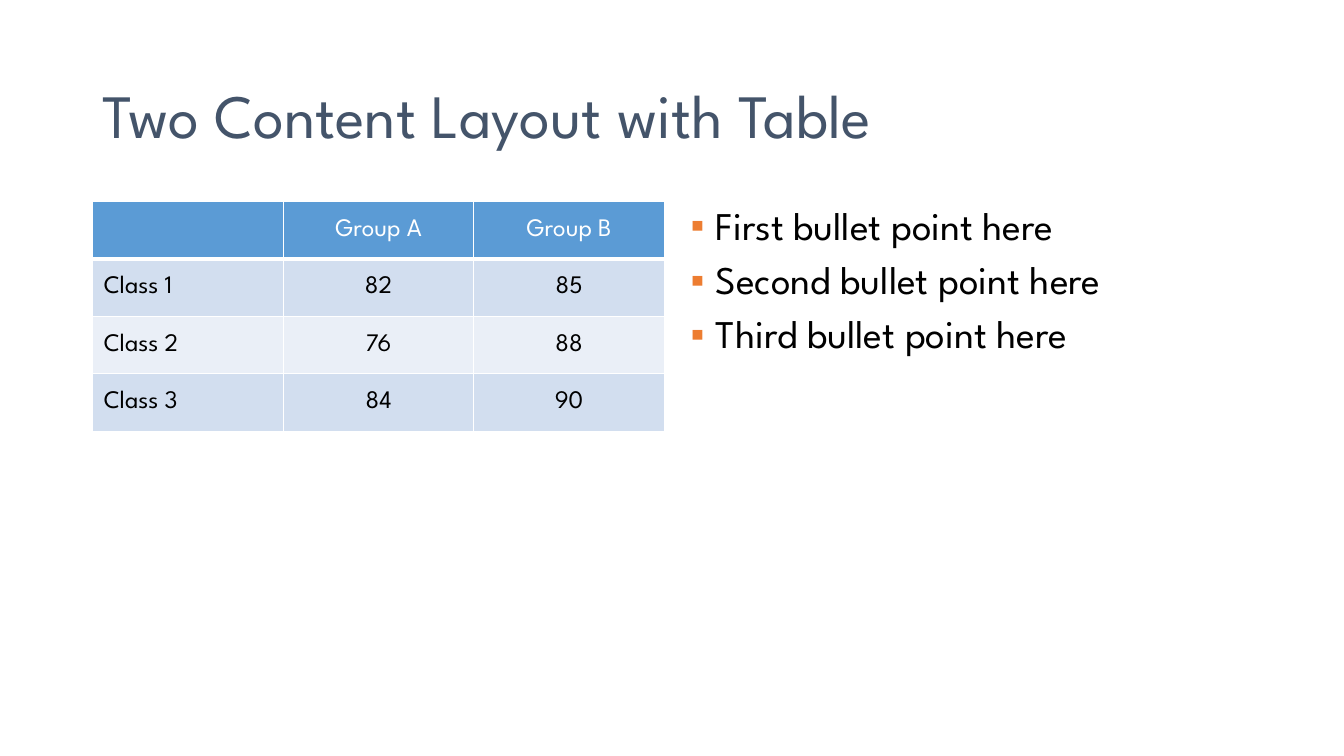
from dataclasses import dataclass

from lxml import etree
from pptx import Presentation
from pptx import util as u
from pptx.dml.color import RGBColor
from pptx.enum import text
from pptx.oxml import ns

TITLE = "Two Content Layout with Table"
SCORES = [
    ("", "Group A", "Group B"),
    ("Class 1", "82", "85"),
    ("Class 2", "76", "88"),
    ("Class 3", "84", "90"),
]
BULLETS = ["First bullet point here", "Second bullet point here", "Third bullet point here"]

# Lengths in px, 100 to the inch
PX = 9144
PAGE = (1333, 750)
TITLE_BOX = (92, 40, 1150, 145)
LIST_BOX = (675, 200, 567, 476)
TABLE_AT = (92, 200)
COLUMN_WIDTH, ROW_HEIGHT = 189, 57
BULLET_INDENT = 25


@dataclass(frozen=True)
class Theme:
    font: str = "League Spartan"
    title: str = "44546A"
    body: str = "000000"
    light: str = "FFFFFF"
    bullet: str = "ED7D31"
    header: str = "5B9BD5"
    bands: tuple = ("D2DEEF", "EAEFF7")
    title_size: int = 44
    list_size: int = 28
    table_size: int = 18


THEME = Theme()


def px(*lengths):
    return [u.Emu(length * PX) for length in lengths]


def place(shape, box):
    shape.left, shape.top, shape.width, shape.height = px(*box)


def add_span(para, words, size, color):
    span = para.add_run()
    span.text = words
    span.font.name = THEME.font
    span.font.size = u.Pt(size)
    span.font.bold = False
    span.font.color.rgb = RGBColor.from_string(color)


def add_color(parent, color):
    etree.SubElement(parent, ns.qn("a:srgbClr"), val=color)


def set_bullet(para):
    """Give the paragraph a hanging square bullet in the accent colour."""
    props = para._p.get_or_add_pPr()
    indent = BULLET_INDENT * PX
    props.set("marL", str(indent))
    props.set("indent", str(-indent))
    add_color(etree.SubElement(props, ns.qn("a:buClr")), THEME.bullet)
    etree.SubElement(props, ns.qn("a:buFont"), typeface="Arial")
    etree.SubElement(props, ns.qn("a:buChar"), char="▪")


def set_borders(cell, bottom):
    """Draw light lines round the cell; bottom is that side's width in points."""
    props = cell._tc.get_or_add_tcPr()
    for side, width in (("L", 1), ("R", 1), ("T", 1), ("B", bottom)):
        line = etree.SubElement(props, ns.qn(f"a:ln{side}"), w=str(u.Pt(width)))
        add_color(etree.SubElement(line, ns.qn("a:solidFill")), THEME.light)


def fill_title(box):
    place(box, TITLE_BOX)
    frame = box.text_frame
    frame.auto_size = text.MSO_AUTO_SIZE.NONE
    frame.vertical_anchor = text.MSO_ANCHOR.MIDDLE
    para = frame.paragraphs[0]
    para.alignment = text.PP_ALIGN.LEFT
    add_span(para, TITLE, THEME.title_size, THEME.title)


def fill_list(box):
    place(box, LIST_BOX)
    frame = box.text_frame
    frame.auto_size = text.MSO_AUTO_SIZE.NONE
    for index, words in enumerate(BULLETS):
        para = frame.add_paragraph() if index else frame.paragraphs[0]
        set_bullet(para)
        para.line_spacing = 0.9
        para.space_before = u.Pt(0.3 * THEME.list_size if index else 0)
        add_span(para, words, THEME.list_size, THEME.body)


def add_score_table(page):
    rows, columns = len(SCORES), len(SCORES[0])
    size = (columns * COLUMN_WIDTH, rows * ROW_HEIGHT)
    table = page.shapes.add_table(rows, columns, *px(*TABLE_AT, *size)).table
    table.horz_banding = False
    for row, values in enumerate(SCORES):
        fill = THEME.bands[(row - 1) % 2] if row else THEME.header
        color = THEME.body if row else THEME.light
        for column, value in enumerate(values):
            cell = table.cell(row, column)
            set_borders(cell, bottom=1 if row else 3)
            cell.fill.solid()
            cell.fill.fore_color.rgb = RGBColor.from_string(fill)
            cell.vertical_anchor = text.MSO_ANCHOR.MIDDLE
            cell.margin_left, cell.margin_right = px(11, 11)
            cell.margin_top, cell.margin_bottom = px(5, 5)
            para = cell.text_frame.paragraphs[0]
            para.alignment = text.PP_ALIGN.CENTER if column else text.PP_ALIGN.LEFT
            if value:
                add_span(para, value, THEME.table_size, color)


def main():
    deck = Presentation()
    deck.slide_width, deck.slide_height = px(*PAGE)
    page = deck.slides.add_slide(deck.slide_layouts.get_by_name("Title and Content"))
    fill_title(page.shapes.title)
    fill_list(page.placeholders[1])
    add_score_table(page)
    deck.save("out.pptx")


if __name__ == "__main__":
    main()
